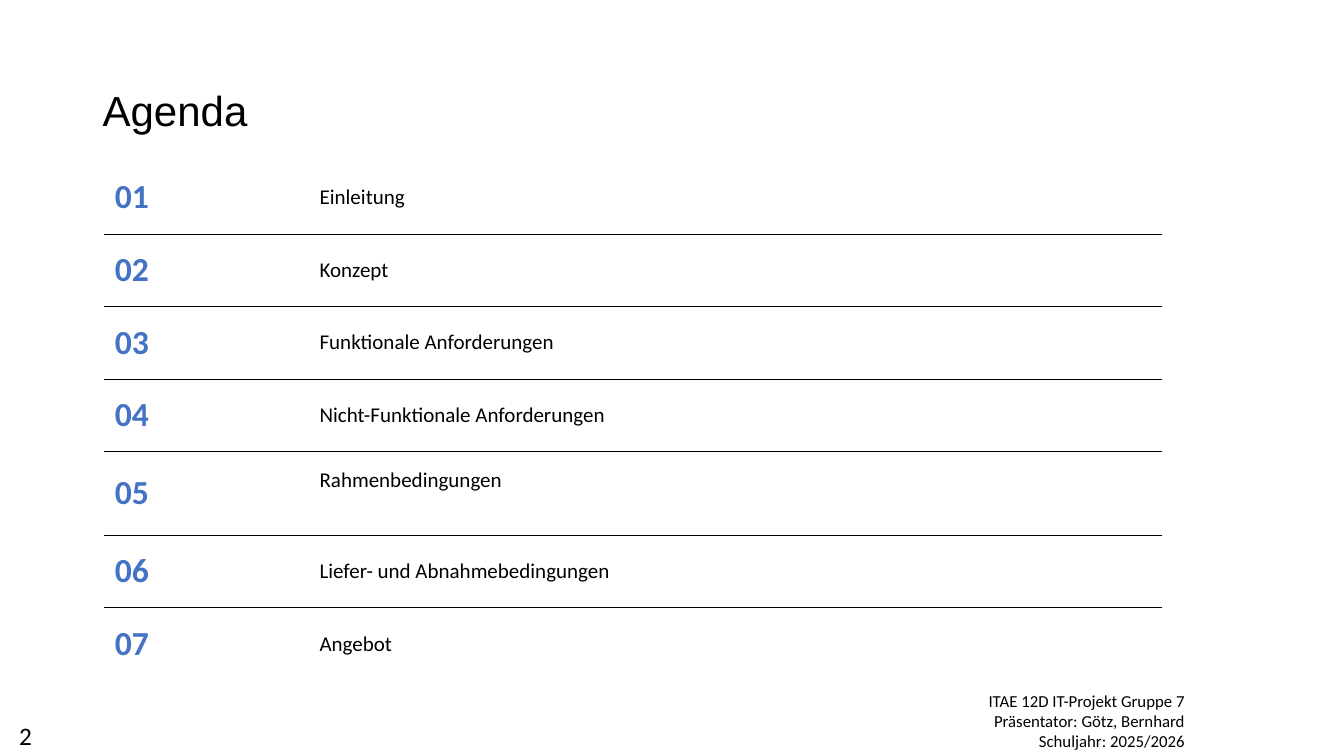
from lxml import etree
from pptx import Presentation
from pptx.dml.color import RGBColor
from pptx.enum.text import MSO_ANCHOR, PP_ALIGN
from pptx.oxml.ns import qn
from pptx.util import Inches, Pt

MIDDLE = MSO_ANCHOR.MIDDLE
TOP = MSO_ANCHOR.TOP
LEFT = PP_ALIGN.LEFT
RIGHT = PP_ALIGN.RIGHT

BLACK = "000000"
BLUE = "4472C4"
WHITE = "FFFFFF"

TOPICS = [
    "Einleitung",
    "Konzept",
    "Funktionale Anforderungen",
    "Nicht-Funktionale Anforderungen",
    "Rahmenbedingungen",
    "Liefer- und Abnahmebedingungen",
    "Angebot",
]
TALL_TOPIC = "Rahmenbedingungen"
ROW_HEIGHT = 0.72
TALL_HEIGHT = 0.83
CELL_INSET = 0.11
TALL_BOTTOM_INSET = 0.36
NUMBER_SHARE = 2.03 / 10.5
FOOTER_LINES = [
    "ITAE 12D IT-Projekt Gruppe 7",
    "Präsentator: Götz, Bernhard",
    "Schuljahr: 2025/2026",
]


def color(value):
    return RGBColor.from_string(value)


def write(frame, lines, size=18, font="Calibri", ink=BLACK, bold=False,
          align=LEFT, spacing=1.0):
    for index, line in enumerate(lines):
        paragraph = frame.paragraphs[0] if index == 0 else frame.add_paragraph()
        paragraph.alignment = align
        paragraph.line_spacing = spacing
        run = paragraph.add_run()
        run.text = line
        run.font.size = Pt(size)
        run.font.name = font
        run.font.bold = bold
        run.font.color.rgb = color(ink)


def add_text(slide, box, lines, anchor=TOP, **style):
    frame = slide.shapes.add_textbox(*map(Inches, box)).text_frame
    frame.word_wrap = True
    frame.vertical_anchor = anchor
    write(frame, lines, **style)


def set_borders(cell, ruled_sides):
    properties = cell._tc.get_or_add_tcPr()
    for position, side in enumerate(("lnL", "lnR", "lnT", "lnB")):
        border = etree.Element(qn(f"a:{side}"), w=str(Pt(0.5)))
        if side in ruled_sides:
            fill = etree.SubElement(border, qn("a:solidFill"))
            etree.SubElement(fill, qn("a:srgbClr"), val=BLACK)
        else:
            etree.SubElement(border, qn("a:noFill"))
        properties.insert(position, border)


def add_agenda(slide, box):
    left, top, width = box
    heights = [TALL_HEIGHT if topic == TALL_TOPIC else ROW_HEIGHT
               for topic in TOPICS]
    agenda = slide.shapes.add_table(
        len(TOPICS), 2, Inches(left), Inches(top), Inches(width),
        Inches(sum(heights))).table
    agenda.first_row = False
    agenda.horz_banding = False
    agenda.columns[0].width = Inches(width * NUMBER_SHARE)
    agenda.columns[1].width = Inches(width * (1 - NUMBER_SHARE))

    last = len(TOPICS) - 1
    for row, (topic, height) in enumerate(zip(TOPICS, heights)):
        agenda.rows[row].height = Inches(height)
        ruled_sides = {"lnT"} if row > 0 else set()
        if row < last:
            ruled_sides.add("lnB")
        number_cell, topic_cell = agenda.cell(row, 0), agenda.cell(row, 1)
        for cell in (number_cell, topic_cell):
            cell.margin_left = cell.margin_right = Inches(CELL_INSET)
            cell.margin_top = cell.margin_bottom = Inches(CELL_INSET)
            cell.vertical_anchor = MIDDLE
            cell.fill.solid()
            cell.fill.fore_color.rgb = color(WHITE)
            set_borders(cell, ruled_sides)
        if topic == TALL_TOPIC:
            topic_cell.margin_bottom = Inches(TALL_BOTTOM_INSET)
        write(number_cell.text_frame, [f"{row + 1:02d}"], size=24, ink=BLUE,
              bold=True)
        write(topic_cell.text_frame, [topic], size=15)


def add_footer(slide, box):
    left, top, width, height = box
    add_text(slide, (left, top + 0.3, 0.82, 0.4), ["2"])
    credit_width = 3.02
    add_text(slide, (left + width - credit_width, top, credit_width, height),
             FOOTER_LINES, size=12, align=RIGHT)


def main():
    deck = Presentation()
    deck.slide_width = Inches(13.33)
    deck.slide_height = Inches(7.5)
    slide = deck.slides.add_slide(deck.slide_layouts[6])
    add_footer(slide, (0.09, 6.8, 11.76, 0.71))
    add_text(slide, (0.92, 0.4, 11.5, 1.45), ["Agenda"], size=30,
             font="Arial", anchor=MIDDLE, spacing=0.9)
    add_agenda(slide, (1.03, 1.6, 10.5))
    deck.save("out.pptx")


if __name__ == "__main__":
    main()
